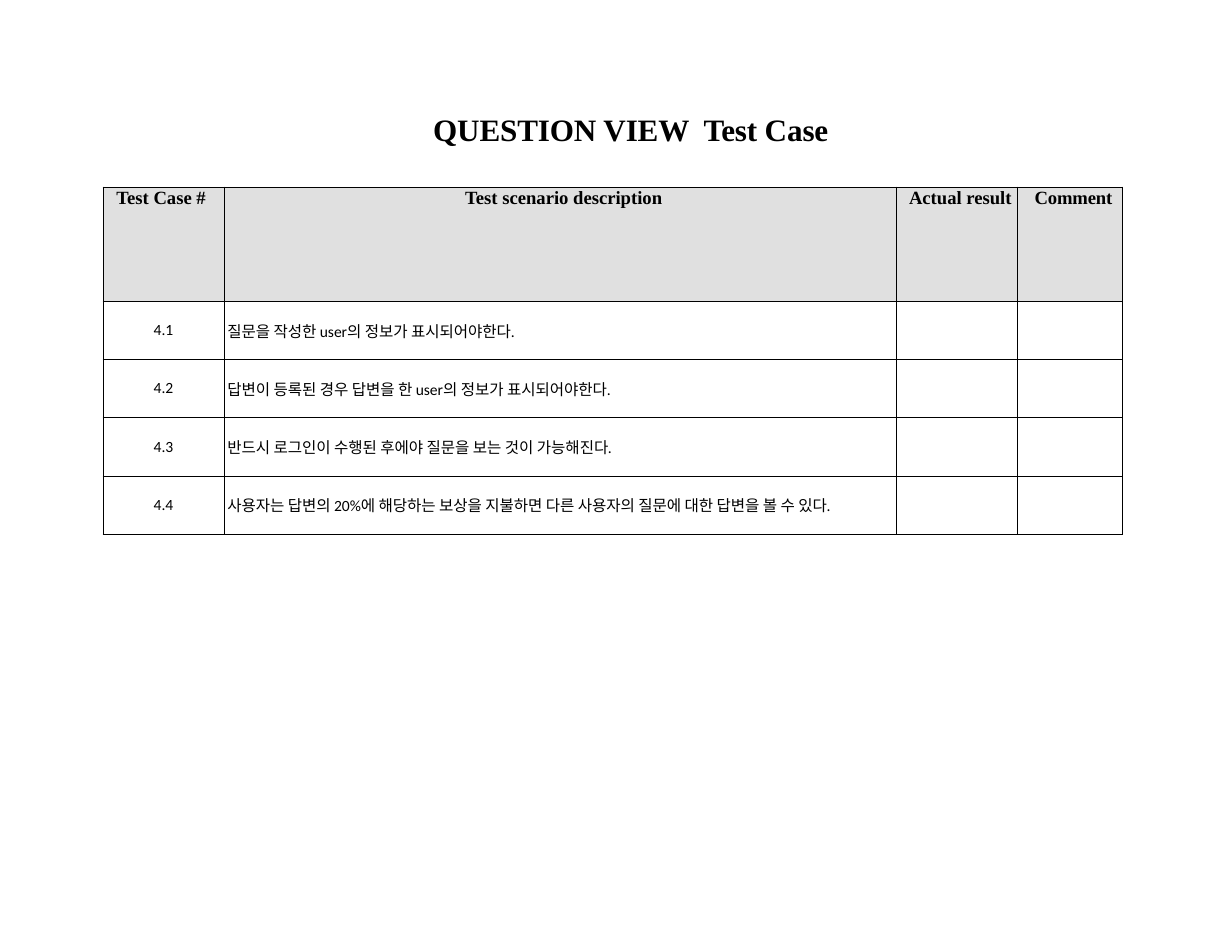
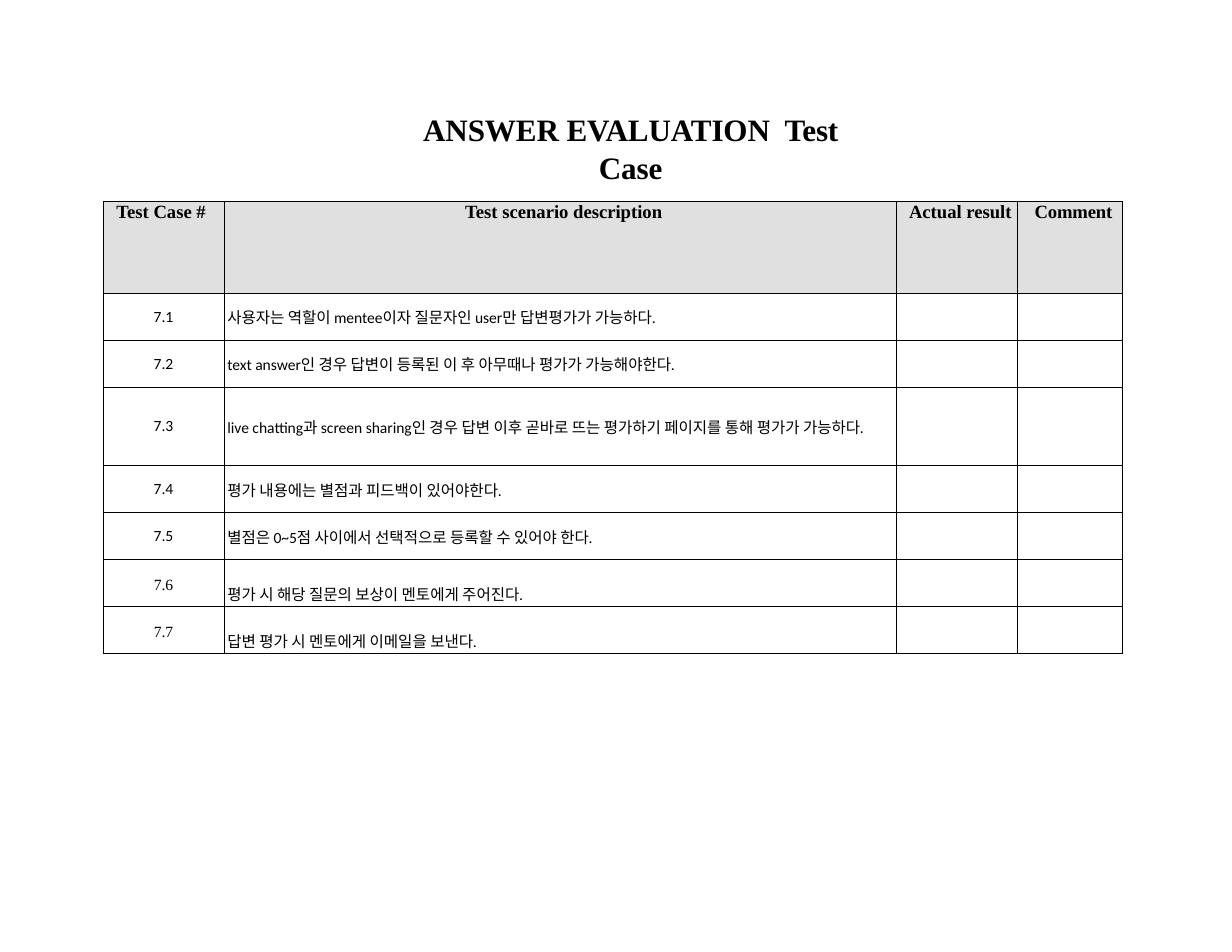
from dataclasses import dataclass

from lxml import etree
from pptx import Presentation
from pptx.dml.color import RGBColor
from pptx.enum.text import MSO_ANCHOR, MSO_AUTO_SIZE, PP_ALIGN
from pptx.oxml.ns import qn
from pptx.util import Inches, Pt

LEFT, CENTER = PP_ALIGN.LEFT, PP_ALIGN.CENTER
TOP, MIDDLE = MSO_ANCHOR.TOP, MSO_ANCHOR.MIDDLE
GROW = MSO_AUTO_SIZE.SHAPE_TO_FIT_TEXT
BLANK_LAYOUT = 6

HEADINGS = ["Test Case # ", "Test scenario description", "Actual result", "Comment"]
COLUMN_WIDTHS = [1.08, 6, 1.08, 0.94]


@dataclass(frozen=True)
class Theme:
    ink: RGBColor = RGBColor(0x00, 0x00, 0x00)
    header_fill: RGBColor = RGBColor(0xE0, 0xE0, 0xE0)
    heading_font: str = "Times New Roman"
    body_font: str = "Calibri"
    title_size: int = 20
    header_size: int = 12
    body_size: int = 10
    header_leading: float = 13.8
    border_width: float = 0.5
    tight: float = -0.1


@dataclass
class TestCase:
    number: str
    scenario: str
    height: float
    double_spaced: bool = False


class Deck:
    def __init__(self, theme):
        self.theme = theme
        self.deck = Presentation()
        self.deck.slide_width = Inches(11)
        self.deck.slide_height = Inches(8.5)
        self.page = None

    def add_page(self):
        layout = self.deck.slide_layouts[BLANK_LAYOUT]
        self.page = self.deck.slides.add_slide(layout)

    def add_text(self, paragraph, text, size, font, bold=False, align=LEFT,
                 indent=0, tracking=0):
        """Add one styled run; indent is in inches and tracking in points."""
        paragraph.alignment = align
        paragraph._p.get_or_add_pPr().set("marL", str(Inches(indent)))
        span = paragraph.add_run()
        span.text = text
        span.font.size = Pt(size)
        span.font.name = font
        span.font.bold = bold
        span.font.color.rgb = self.theme.ink
        if tracking:
            span.font._element.set("spc", str(round(tracking * 100)))

    def title(self, text, height):
        theme = self.theme
        box = self.page.shapes.add_textbox(
            Inches(3.75), Inches(0.98), Inches(3.75), Inches(height))
        frame = box.text_frame
        frame.word_wrap = True
        frame.auto_size = GROW
        frame.margin_left = frame.margin_right = frame.margin_bottom = 0
        frame.margin_top = Inches(0.01)
        self.add_text(frame.paragraphs[0], text, theme.title_size, theme.heading_font,
                      bold=True, align=CENTER, indent=0.01, tracking=theme.tight)

    def border(self, cell):
        properties = cell._tc.get_or_add_tcPr()
        for side in ("a:lnL", "a:lnR", "a:lnT", "a:lnB"):
            line = etree.SubElement(properties, qn(side),
                                    w=str(Pt(self.theme.border_width)))
            fill = etree.SubElement(line, qn("a:solidFill"))
            etree.SubElement(fill, qn("a:srgbClr"), val=str(self.theme.ink))

    def prepare_cell(self, cell, anchor, side_margin, fill=None):
        self.border(cell)
        if fill is None:
            cell.fill.background()
        else:
            cell.fill.solid()
            cell.fill.fore_color.rgb = fill
        cell.vertical_anchor = anchor
        cell.margin_left = cell.margin_right = Inches(side_margin)
        cell.margin_top = cell.margin_bottom = 0
        paragraph = cell.text_frame.paragraphs[0]
        paragraph.font.size = Pt(self.theme.body_size)
        return paragraph

    def header_row(self, table):
        theme = self.theme
        for column, heading in enumerate(HEADINGS):
            paragraph = self.prepare_cell(table.cell(0, column), TOP, 0,
                                          theme.header_fill)
            paragraph.line_spacing = Pt(theme.header_leading)
            self.add_text(paragraph, heading, theme.header_size, theme.heading_font,
                          bold=True, align=CENTER, indent=0.07 if column else 0,
                          tracking=theme.tight if heading == "Comment" else 0)

    def case_row(self, table, row, case):
        theme = self.theme
        anchor, margin = (TOP, 0) if case.double_spaced else (MIDDLE, 0.03)
        number_font = theme.heading_font if case.double_spaced else theme.body_font
        paragraphs = [self.prepare_cell(table.cell(row, column), anchor, margin)
                      for column in range(len(HEADINGS))]
        number, scenario = paragraphs[:2]
        if case.double_spaced:
            number.line_spacing = scenario.line_spacing = 2.0
        self.add_text(number, case.number, theme.body_size, number_font, align=CENTER)
        self.add_text(scenario, case.scenario, theme.body_size, theme.body_font)

    def case_table(self, top, header_height, cases):
        heights = [header_height] + [case.height for case in cases]
        frame = self.page.shapes.add_table(
            len(heights), len(HEADINGS), Inches(0.92), Inches(top),
            Inches(sum(COLUMN_WIDTHS)), Inches(sum(heights)))
        table = frame.table
        table.first_row = table.horz_banding = False
        for column, width in zip(table.columns, COLUMN_WIDTHS):
            column.width = Inches(width)
        for row, height in zip(table.rows, heights):
            row.height = Inches(height)
        self.header_row(table)
        for row, case in enumerate(cases, start=1):
            self.case_row(table, row, case)


def question_view(deck):
    scenarios = [
        "질문을 작성한 user의 정보가 표시되어야한다.",
        "답변이 등록된 경우 답변을 한 user의 정보가 표시되어야한다.",
        "반드시 로그인이 수행된 후에야 질문을 보는 것이 가능해진다.",
        "사용자는 답변의 20%에 해당하는 보상을 지불하면 다른 사용자의 질문에 대한 답변을 볼 수 있다.",
    ]
    deck.add_page()
    deck.title("QUESTION VIEW  Test Case", 0.36)
    deck.case_table(1.67, 1.02, [TestCase(f"4.{index}", scenario, 0.52)
                                 for index, scenario in enumerate(scenarios, 1)])


def answer_evaluation(deck):
    scenarios = [
        "사용자는 역할이 mentee이자 질문자인 user만 답변평가가 가능하다.",
        "text answer인 경우 답변이 등록된 이 후 아무때나 평가가 가능해야한다.",
        "live chatting과 screen sharing인 경우 답변 이후 곧바로 뜨는 평가하기 페이지를 통해 평가가 가능하다.",
        "평가 내용에는 별점과 피드백이 있어야한다.",
        "별점은 0~5점 사이에서 선택적으로 등록할 수 있어야 한다.",
        " 평가 시 해당 질문의 보상이 멘토에게 주어진다.",
        " 답변 평가 시 멘토에게 이메일을 보낸다.",
    ]
    cases = [TestCase(f"7.{index}", scenario, 0.7 if index == 3 else 0.42,
                      double_spaced=index > 5)
             for index, scenario in enumerate(scenarios, 1)]
    deck.add_page()
    deck.title("ANSWER EVALUATION  Test Case", 0.69)
    deck.case_table(1.8, 0.82, cases)


def main():
    deck = Deck(Theme())
    question_view(deck)
    answer_evaluation(deck)
    deck.deck.save("out.pptx")


if __name__ == "__main__":
    main()
